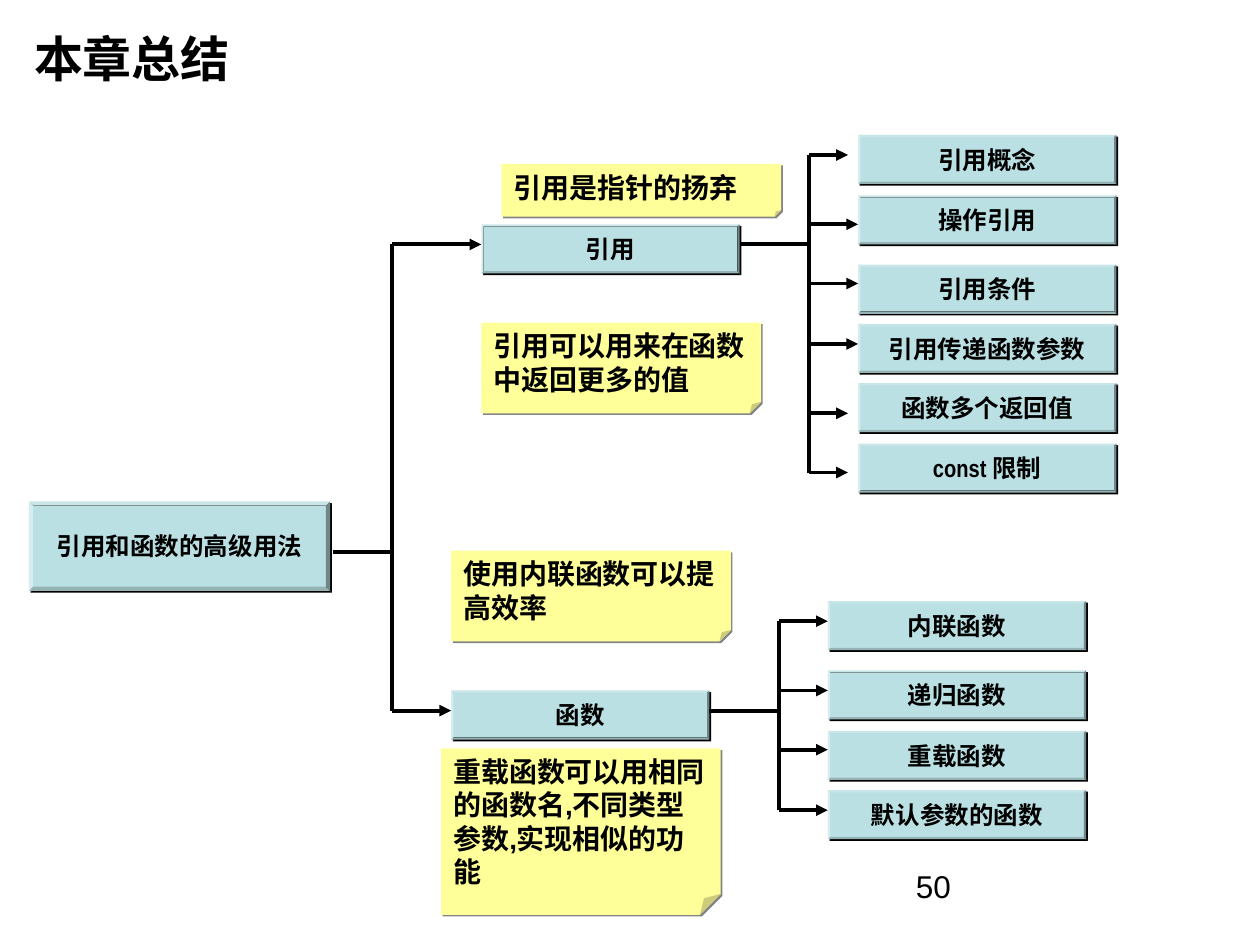
from lxml import etree
from pptx import Presentation
from pptx.dml.color import RGBColor
from pptx.enum.shapes import MSO_CONNECTOR, MSO_SHAPE
from pptx.enum.text import MSO_ANCHOR, MSO_AUTO_SIZE, PP_ALIGN
from pptx.oxml.ns import qn
from pptx.util import Inches, Pt

BEVEL, NOTE = MSO_SHAPE.BEVEL, MSO_SHAPE.FOLDED_CORNER
STRAIGHT = MSO_CONNECTOR.STRAIGHT
LEFT, CENTER = PP_ALIGN.LEFT, PP_ALIGN.CENTER
MIDDLE = MSO_ANCHOR.MIDDLE
GROW = MSO_AUTO_SIZE.SHAPE_TO_FIT_TEXT
BLACK, TEAL, YELLOW, GREY = "000000", "BBE0E3", "FFFF99", "858585"
BOX_WIDTH, BOX_HEIGHT = 2.05, 0.39


def color(value):
    return RGBColor.from_string(value)


def add_text(shape, text, size, font, bold=True, align=LEFT):
    para = shape.text_frame.paragraphs[0]
    para.alignment = align
    span = para.add_run()
    span.text = text
    span.font.size = Pt(size)
    span.font.name = font
    span.font.bold = bold
    span.font.color.rgb = color(BLACK)


deck = Presentation()
deck.slide_width, deck.slide_height = Inches(10), Inches(7.5)
page = deck.slides.add_slide(deck.slide_layouts[5])

# Title
title = page.shapes.title
title.left, title.top = Inches(0.17), Inches(0)
title.width, title.height = Inches(7.5), Inches(0.92)
title.text_frame.vertical_anchor = MIDDLE
add_text(title, "本章总结", 28, "Arial")

# Topic boxes: the root, then each branch with its leaves
topics = [("引用和函数的高级用法", 0.23, 3.98, 2.39, 0.71)]
branches = [
    ("引用", 3.82, 1.78, 6.81,
     [("引用概念", 1.07), ("操作引用", 1.55), ("引用条件", 2.1),
      ("引用传递函数参数", 2.57), ("函数多个返回值", 3.04), ("const 限制", 3.52)]),
    ("函数", 3.58, 5.48, 6.57,
     [("内联函数", 4.77), ("递归函数", 5.32), ("重载函数", 5.8),
      ("默认参数的函数", 6.27)]),
]
for name, left, top, leaf_left, leaves in branches:
    topics.append((name, left, top, BOX_WIDTH, BOX_HEIGHT))
    for leaf, leaf_top in leaves:
        topics.append((leaf, leaf_left, leaf_top, BOX_WIDTH, BOX_HEIGHT))

# Yellow notes
notes = [
    ("引用是指针的扬弃", 3.98, 1.3, 2.22, 0.42),
    ("引用可以用来在函数中返回更多的值", 3.82, 2.56, 2.22, 0.72),
    ("使用内联函数可以提高效率", 3.58, 4.37, 2.22, 0.72),
    ("重载函数可以用相同的函数名,不同类型参数,实现相似的功能", 3.5, 5.94, 2.22, 1.32),
]

# Draw topics and notes, each with a hard offset shadow
styles = [
    (topics, BEVEL, 4700, TEAL, BLACK, 14, "Arial Narrow", CENTER, False),
    (notes, NOTE, 12500, YELLOW, GREY, 16, "Arial", LEFT, True),
]
for items, kind, adjustment, fill, shade, size, font, align, wrap in styles:
    for text, left, top, width, height in items:
        box = page.shapes.add_shape(
            kind, Inches(left), Inches(top), Inches(width), Inches(height))
        box.fill.solid()
        box.fill.fore_color.rgb = color(fill)
        box.line.fill.background()
        box.shadow.inherit = False
        properties = box.element.spPr
        # Bevel depth or fold size
        guides = properties.find(qn("a:prstGeom")).get_or_add_avLst()
        for guide in list(guides):
            guides.remove(guide)
        etree.SubElement(guides, qn("a:gd"), name="adj", fmla=f"val {adjustment}")
        shadow = etree.SubElement(
            properties.find(qn("a:effectLst")), qn("a:outerShdw"), blurRad="0",
            dist=str(int(Pt(1.4))), dir="2700000", algn="ctr", rotWithShape="0")
        etree.SubElement(shadow, qn("a:srgbClr"), val=shade)
        box.text_frame.word_wrap = wrap
        box.text_frame.vertical_anchor = MIDDLE
        if wrap:
            box.text_frame.auto_size = GROW
        add_text(box, text, size, font, align=align)

# Tree lines: start x, start y, end x, end y, arrowhead
lines = []
trees = [
    (2.64, 4.38, 3.11, [(3.82, 1.94), (3.58, 5.64)]),
    (5.87, 1.94, 6.42, [(6.73, 1.23), (6.81, 1.78), (6.81, 2.25),
                        (6.81, 2.73), (6.73, 3.28), (6.73, 3.75)]),
    (5.63, 5.64, 6.18, [(6.57, y) for y in (4.93, 5.48, 5.95, 6.43)]),
]
for start, stem_y, trunk, tips in trees:
    lines.append((start, stem_y, trunk, stem_y, False))
    lines.append((trunk, tips[0][1], trunk, tips[-1][1], False))
    lines += [(trunk, y, x, y, True) for x, y in tips]

for x1, y1, x2, y2, arrow in lines:
    line = page.shapes.add_connector(
        STRAIGHT, Inches(x1), Inches(y1), Inches(x2), Inches(y2))
    line.line.color.rgb = color(BLACK)
    line.line.width = Pt(2.25)
    properties = line.element.spPr
    if arrow:
        etree.SubElement(properties.find(qn("a:ln")), qn("a:tailEnd"), type="triangle")
    etree.SubElement(properties, qn("a:effectLst"))

# Page number
number = page.shapes.add_textbox(Inches(7.17), Inches(6.83), Inches(2.33), Inches(0.52))
number.text_frame.word_wrap = True
add_text(number, "50", 18, "Arial", bold=False)

deck.save("out.pptx")
